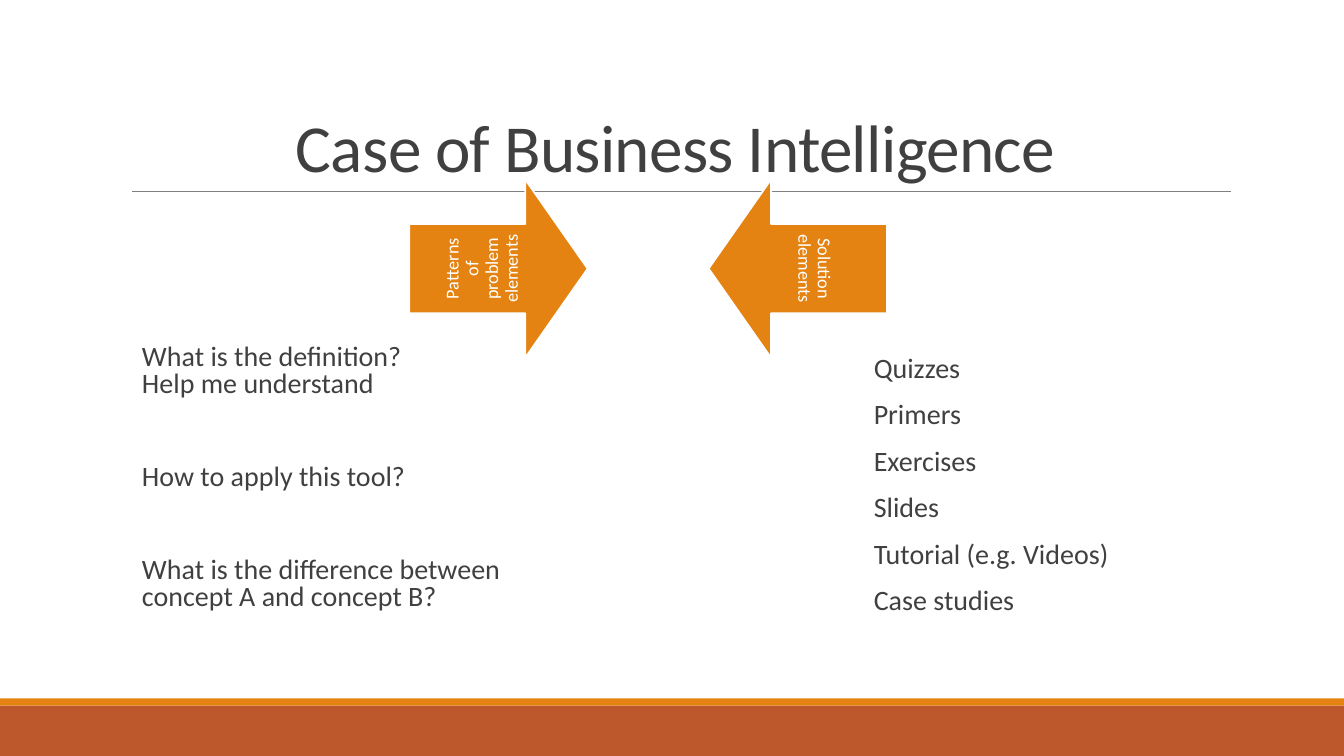
import pptx
import pptx.util
import pptx.dml.color
import pptx.enum.shapes
import pptx.enum.text
import pptx.oxml.xmlchemy

CELL = pptx.util.Inches(0.1)
COLS, ROWS = 133.33, 75
HUES = {"ink": "404040", "rule": "808080", "gold": "E48312", "rust": "BD582C", "white": "FFFFFF"}
ASKS = [
    "What is the definition?\nHelp me understand",
    "How to apply this tool?",
    "What is the difference between concept A and concept B?",
]
AIDS = ["Quizzes", "Primers", "Exercises", "Slides", "Tutorial (e.g. Videos)", "Case studies"]


def grid(*cells):
    """Turn grid cells into slide lengths."""
    return [round(cell * CELL) for cell in cells]


def hue(name):
    """Look up a named colour."""
    return pptx.dml.color.RGBColor.from_string(HUES[name])


def text(slide, box, lines, size=20, color="ink", align="LEFT", anchor="TOP",
         pads=(1, 0.5, 0, 0.5), lead=0.8, first=0, gap=0, after=0, track=0, turn=0):
    """Add a text box with one paragraph for each line."""
    shape = slide.shapes.add_textbox(*grid(*box))
    shape.rotation = turn
    frame = shape.text_frame
    frame.word_wrap = True
    frame.vertical_anchor = getattr(pptx.enum.text.MSO_ANCHOR, anchor)
    (frame.margin_left, frame.margin_top,
     frame.margin_right, frame.margin_bottom) = grid(*pads)
    for row, line in enumerate(lines):
        para = frame.add_paragraph() if row else frame.paragraphs[0]
        para.text = line
        para.alignment = getattr(pptx.enum.text.PP_ALIGN, align)
        para.line_spacing = lead
        para.space_before = pptx.util.Pt(gap if row else first)
        para.space_after = pptx.util.Pt(after)
        for run in para.runs:
            run.font.name = "Calibri"
            run.font.size = pptx.util.Pt(size)
            run.font.color.rgb = hue(color)
            if track:
                run.font._element.set("spc", str(round(track * 100)))


def block(slide, kind, box, fill):
    """Add a filled shape with no outline or shadow."""
    shape = slide.shapes.add_shape(getattr(pptx.enum.shapes.MSO_SHAPE, kind), *grid(*box))
    shape.shadow.inherit = False
    shape.fill.solid()
    shape.fill.fore_color.rgb = hue(fill)
    shape.line.fill.background()
    return shape


def rule(slide, left, right, top):
    """Add a thin level line."""
    kind = pptx.enum.shapes.MSO_CONNECTOR.STRAIGHT
    line = slide.shapes.add_connector(kind, *grid(left, top, right, top))
    line.line.color.rgb = hue("rule")
    line.line.width = pptx.util.Pt(0.5)
    props = line._element.spPr
    props.append(props.makeelement(pptx.oxml.ns.qn("a:effectLst"), {}))


def arrow(slide, side, label):
    """Add an arrow that points to the middle from one side."""
    mid, top, size, wide, tall = 64.3, 26.65, 17.7, 8.8, 14.6
    turn = side * 90 % 360
    left = mid + side * 14.85 - size / 2
    shape = block(slide, "DOWN_ARROW", (left, top - size / 2, size, size), "gold")
    shape.rotation = turn
    shape.adjustments[1] = 0.35
    shape.line.color.rgb = hue("white")
    shape.line.width = pptx.util.Pt(1.25)
    left = mid + side * 16.45 - wide / 2
    text(slide, (left, top - tall / 2, wide, tall), [label], size=13, color="white",
         align="CENTER", anchor="MIDDLE", pads=(1, 1, 1, 1), lead=0.9, turn=turn)


def main():
    """Build and save the slide."""
    deck = pptx.Presentation()
    deck.slide_width, deck.slide_height = grid(COLS, ROWS)
    slide = deck.slides.add_slide(deck.slide_layouts[6])
    block(slide, "RECTANGLE", (0, 70, COLS, 5), "rust")
    block(slide, "RECTANGLE", (0, 69.3, COLS, 0.7), "gold")
    rule(slide, 13.1, 122.1, 19)
    text(slide, (12, 3.1, 110, 15.9), ["Case of Business Intelligence"], size=48,
         align="CENTER", anchor="BOTTOM", pads=(1, 0.5, 1, 0.5), lead=0.85, track=-0.5)
    text(slide, (13.1, 33.7, 41.2, 31.4), ASKS, first=12, gap=45.5, after=2)
    text(slide, (85.7, 34.9, 33.7, 28.2), AIDS, first=12, gap=12, after=2)
    arrow(slide, -1, "Patterns of problem elements")
    arrow(slide, 1, "Solution elements")
    deck.save("out.pptx")


if __name__ == "__main__":
    main()
